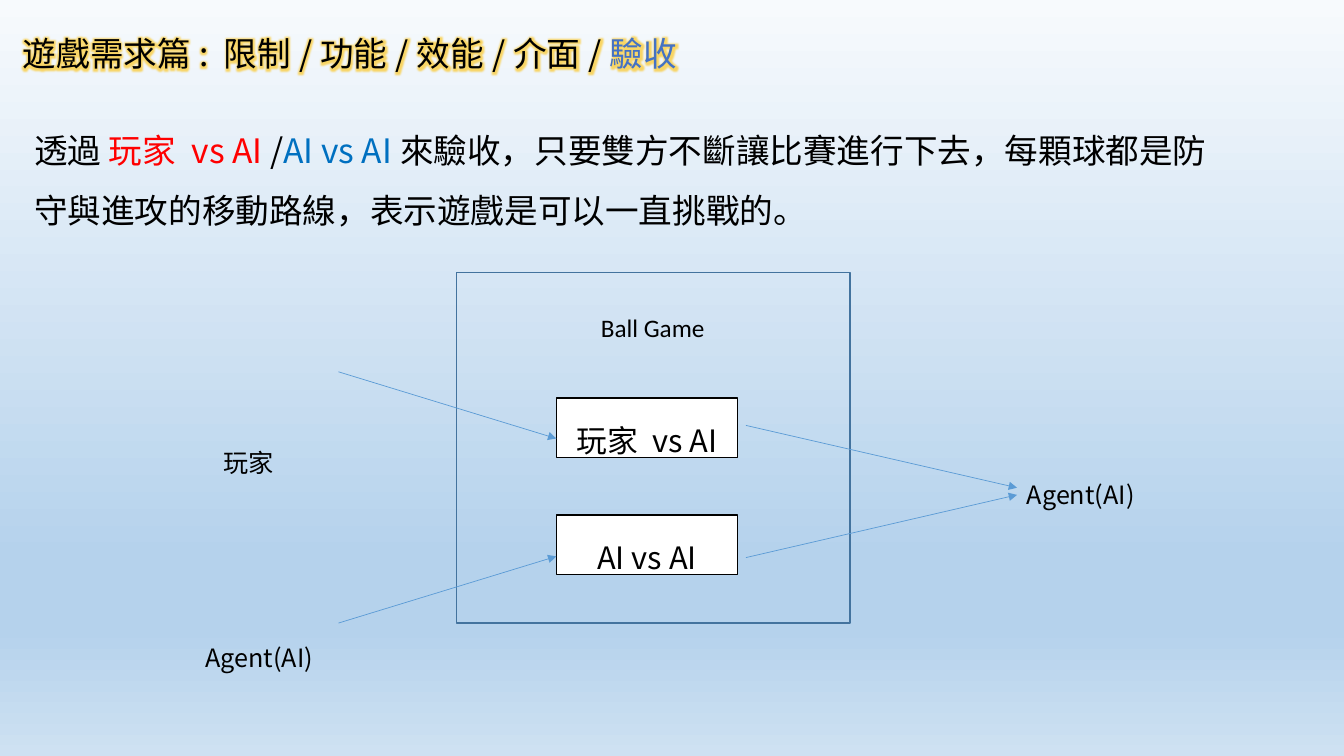
from pptx import Presentation
from pptx.dml.color import RGBColor
from pptx.enum.shapes import MSO_CONNECTOR, MSO_SHAPE
from pptx.enum.text import MSO_ANCHOR, PP_ALIGN
from pptx.oxml import parse_xml
from pptx.oxml.ns import nsdecls, qn
from pptx.util import Cm, Pt

CJK = "Noto Sans CJK SC"
NS = nsdecls("a")


def color(code):
    return RGBColor.from_string(code)


def write(shape, parts, size, font=CJK, space=1.0, align=PP_ALIGN.LEFT):
    frame = shape.text_frame
    frame.word_wrap = True
    frame.vertical_anchor = MSO_ANCHOR.TOP
    para = frame.paragraphs[0]
    para.alignment = align
    para.line_spacing = space
    for text, code in parts:
        run = para.add_run()
        run.text = text
        run.font.size = Pt(size)
        run.font.color.rgb = color(code)
        run.font.name = font
        run.font._element.find(qn("a:latin")).addnext(
            parse_xml(f'<a:ea {NS} typeface="{font}"/>'))


deck = Presentation()
deck.slide_width, deck.slide_height = Cm(33.87), Cm(19.05)
slide = deck.slides.add_slide(deck.slide_layouts[6])
shapes = slide.shapes

# Background gradient, top to bottom
fill = slide.background.fill
fill.gradient()
fill.gradient_angle = 270
stops = slide._element.find(".//" + qn("a:gsLst"))
for stop in list(stops):
    stops.remove(stop)
for pos, code in [(0, "F7FAFD"), (74, "B5D2EC"), (83, "B5D2EC"), (100, "CEE1F2")]:
    stops.append(parse_xml(
        f'<a:gs {NS} pos="{pos * 1000}"><a:srgbClr val="{code}"/></a:gs>'))

# Title with a golden glow
title = shapes.add_textbox(Cm(0.33), Cm(0.2), Cm(31.27), Cm(1.63))
write(title, [("遊戲需求篇: 限制/功能/效能/介面/", "000000"), ("驗收", "4472C4")],
      24, space=1.5)
for run in title.text_frame.paragraphs[0].runs:
    run.font._element.find(qn("a:solidFill")).addnext(parse_xml(
        f'<a:effectLst {NS}><a:glow rad="101600"><a:srgbClr val="FFC000">'
        '<a:alpha val="60000"/></a:srgbClr></a:glow></a:effectLst>'))

# Game frame
game = shapes.add_shape(MSO_SHAPE.RECTANGLE, Cm(11.51), Cm(6.86), Cm(9.91), Cm(8.84))
game.shadow.inherit = False
game.fill.background()
game.line.color.rgb = color("43739E")
game.line.width = Pt(1)

# Match modes
for top, mode in [(10.03, "玩家 vs AI"), (12.98, "AI vs AI")]:
    box = shapes.add_shape(MSO_SHAPE.RECTANGLE, Cm(14.02), Cm(top), Cm(4.57), Cm(1.5))
    box.shadow.inherit = False
    box.fill.solid()
    box.fill.fore_color.rgb = color("FFFFFF")
    box.line.color.rgb = color("000000")
    box.line.width = Pt(1)
    write(box, [(mode, "000000")], 22, space=1.5, align=PP_ALIGN.CENTER)

# Labels
for left, top, width, name, font, align in [
    (5.38, 11.15, 2.24, "玩家", CJK, PP_ALIGN.LEFT),
    (4.93, 16.05, 3.61, "Agent(AI)", CJK, PP_ALIGN.LEFT),
    (25.63, 11.96, 3.61, "Agent(AI)", CJK, PP_ALIGN.LEFT),
    (14.53, 7.75, 3.84, "Ball Game", "Calibri", PP_ALIGN.CENTER),
]:
    label = shapes.add_textbox(Cm(left), Cm(top), Cm(width), Cm(1.02))
    write(label, [(name, "000000")], 18, font, align=align)

# Acceptance text
body = shapes.add_textbox(Cm(0.61), Cm(2.64), Cm(30.4), Cm(3.33))
write(body, [
    ("透過 ", "000000"),
    ("玩家 vs AI ", "FF0000"),
    ("/", "000000"),
    ("AI vs AI", "0070C0"),
    ("來驗收，只要雙方不斷讓比賽進行下去，每顆球都是防守與進攻的移動路線，"
     "表示遊戲是可以一直挑戰的。", "000000"),
], 24, space=1.5)

# Arrows from players to modes, and from modes to the agent
for ends in [
    (8.53, 15.7, 14.02, 14.02),
    (18.8, 14.05, 25.63, 12.47),
    (8.53, 9.37, 14.02, 11.05),
    (18.8, 10.72, 25.63, 12.29),
]:
    arrow = shapes.add_connector(MSO_CONNECTOR.STRAIGHT, *[Cm(end) for end in ends])
    arrow.line.color.rgb = color("5B9BD5")
    arrow.line.width = Pt(0.5)
    arrow.line._get_or_add_ln().append(parse_xml(f'<a:tailEnd {NS} type="triangle"/>'))
    arrow._element.spPr.append(parse_xml(f"<a:effectLst {NS}/>"))

deck.save("out.pptx")
